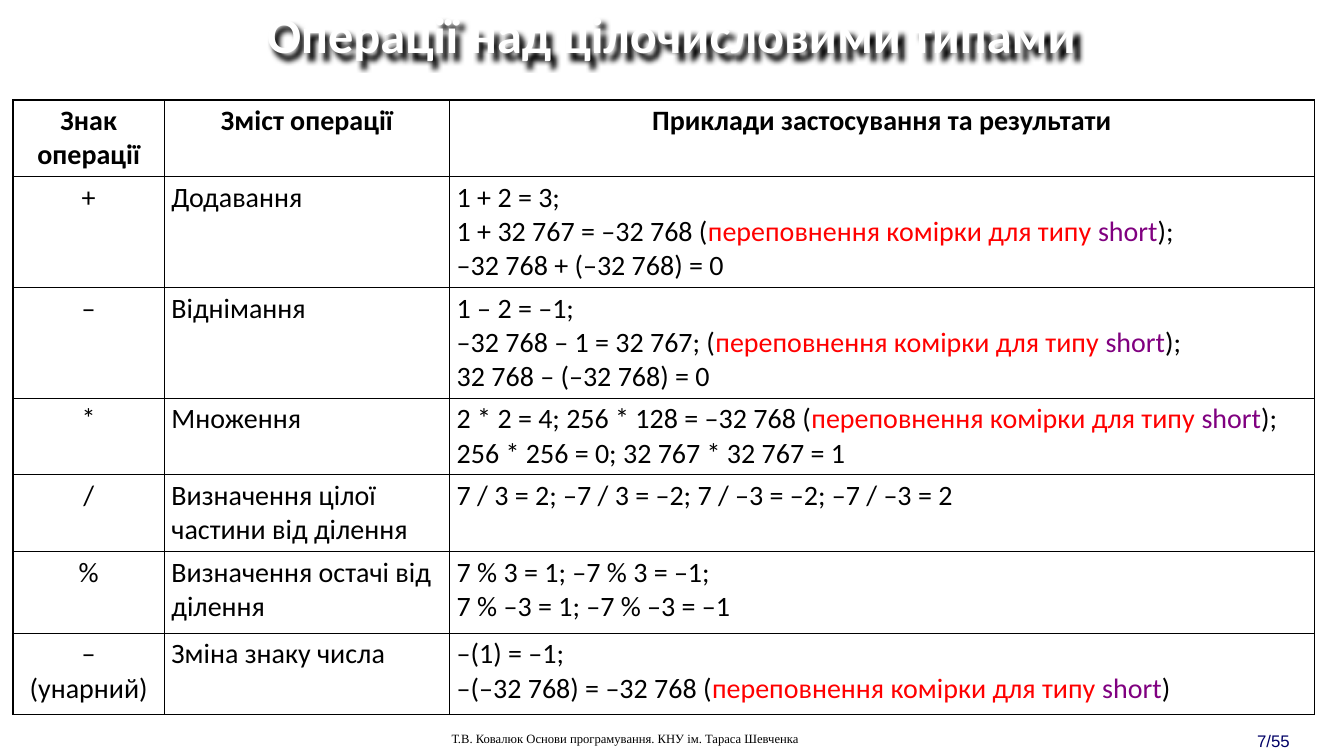
"""Build the slide on operations over integer types."""
from pptx import Presentation
from pptx.dml.color import RGBColor
from pptx.enum.text import MSO_ANCHOR, MSO_AUTO_SIZE, PP_ALIGN
from pptx.oxml import parse_xml
from pptx.oxml.ns import nsdecls
from pptx.util import Cm, Pt

CENTER, LEFT = PP_ALIGN.CENTER, PP_ALIGN.LEFT
MIDDLE, NO_FIT = MSO_ANCHOR.MIDDLE, MSO_AUTO_SIZE.NONE
BLACK = RGBColor(0x00, 0x00, 0x00)
WHITE = RGBColor(0xFF, 0xFF, 0xFF)
RED = RGBColor(0xFF, 0x00, 0x00)
PURPLE = RGBColor(0x80, 0x00, 0x80)
NAVY = RGBColor(0x00, 0x00, 0x66)

COLUMN_WIDTHS = (3.81, 7.19, 21.79)
ROW_HEIGHTS = (1.78, 2.59, 2.59, 1.78, 1.78, 2.06, 2.06)
HEADERS = ("Знак операції", "Зміст операції", "Приклади застосування та результати")
OVERFLOW = (("переповнення комірки для типу ", RED), ("short", PURPLE))


def overflow(before, after):
    """Return the runs of an example that overflows a short."""
    return [(before, BLACK), *OVERFLOW, (after, BLACK)]


def plain(text):
    """Return a paragraph of one black run."""
    return [(text, BLACK)]


OPERATIONS = (
    ("+", "Додавання",
     [overflow("1 + 2 = 3; \n1 + 32 767 = –32 768 (", "); \n–32 768 + (–32 768) = 0")]),
    ("–", "Віднімання",
     [overflow("1 – 2 = –1; \n–32 768 – 1 = 32 767; (", ");\n32 768 – (–32 768) = 0")]),
    ("*", "Множення",
     [overflow("2 * 2 = 4; 256 * 128 = –32 768 (", "); \n256 * 256 = 0; 32 767 * 32 767 = 1")]),
    ("/", "Визначення цілої частини від ділення",
     [plain("7 / 3 = 2; –7 / 3 = –2; 7 / –3 = –2; –7 / –3 = 2")]),
    ("%", "Визначення остачі від ділення",
     [plain("7 % 3 = 1; –7 % 3 = –1;"), plain("7 % –3 = 1; –7 % –3 = –1")]),
    ("– (унарний)", "Зміна знаку числа",
     [plain("–(1) = –1;"), overflow("–(–32 768) = –32 768 (", ")")]),
)


def add_run(p, text, font, size, color, bold=False):
    """Add formatted text to a paragraph, breaking lines at newlines."""
    for i, line in enumerate(text.split("\n")):
        if i:
            p.add_line_break()
        r = p.add_run()
        r.text = line
        r.font.name, r.font.size, r.font.bold = font, Pt(size), bold
        r.font.color.rgb = color


def add_title(s, text):
    """Fill the title placeholder with white, shadowed text."""
    sp = s.shapes.title
    sp.left, sp.top, sp.width, sp.height = Cm(4.23), Cm(0.33), Cm(25.4), Cm(1.2)
    tf = sp.text_frame
    tf.auto_size, tf.vertical_anchor, tf.word_wrap = NO_FIT, MIDDLE, True
    p = tf.paragraphs[0]
    p.alignment, p.line_spacing = CENTER, 0.9
    add_run(p, text, "Calibri", 36, WHITE, True)
    sp.fill.background()
    sp._element.spPr.append(parse_xml(
        f'<a:effectLst {nsdecls("a")}><a:outerShdw blurRad="50800" dist="63500" dir="3000000">'
        '<a:srgbClr val="000000"/></a:outerShdw></a:effectLst>'))


def add_label(s, text, box, font, size, color):
    """Add a one-line text box."""
    tf = s.shapes.add_textbox(*(Cm(v) for v in box)).text_frame
    tf.word_wrap = True
    add_run(tf.paragraphs[0], text, font, size, color)


def format_cell(cell):
    """Give a cell a white fill, narrow margins and black borders."""
    cell.margin_left = cell.margin_right = Cm(0.18)
    cell.margin_top = cell.margin_bottom = Cm(0.1)
    cell.fill.solid()
    cell.fill.fore_color.rgb = WHITE
    tcPr = cell._tc.get_or_add_tcPr()
    for i, side in enumerate("LRTB"):
        tcPr.insert(i, parse_xml(
            f'<a:ln{side} {nsdecls("a")} w="12700"><a:solidFill>'
            f'<a:srgbClr val="{BLACK}"/></a:solidFill></a:ln{side}>'))


def fill_cell(cell, paragraphs, align, bold=False):
    """Write paragraphs of coloured runs into a cell."""
    format_cell(cell)
    tf = cell.text_frame
    for i, runs in enumerate(paragraphs):
        p = tf.add_paragraph() if i else tf.paragraphs[0]
        p.alignment = align
        for text, color in runs:
            add_run(p, text, "Calibri", 20, color, bold)


def add_operations_table(s):
    """Add the table of operations and examples."""
    table = s.shapes.add_table(
        len(ROW_HEIGHTS), len(COLUMN_WIDTHS), Cm(0.33), Cm(2.52),
        Cm(sum(COLUMN_WIDTHS)), Cm(sum(ROW_HEIGHTS))).table
    table.horz_banding = False
    for column, width in zip(table.columns, COLUMN_WIDTHS):
        column.width = Cm(width)
    for row, height in zip(table.rows, ROW_HEIGHTS):
        row.height = Cm(height)
    for j, header in enumerate(HEADERS):
        fill_cell(table.cell(0, j), [plain(header)], CENTER, True)
    for i, (sign, meaning, examples) in enumerate(OPERATIONS, 1):
        fill_cell(table.cell(i, 0), [plain(sign)], CENTER)
        fill_cell(table.cell(i, 1), [plain(meaning)], LEFT)
        fill_cell(table.cell(i, 2), examples, LEFT)


def main():
    """Build and save the presentation."""
    prs = Presentation()
    prs.slide_width, prs.slide_height = Cm(33.87), Cm(19.05)
    s = prs.slides.add_slide(prs.slide_layouts[5])
    add_title(s, "Операції над цілочисловими типами")
    add_operations_table(s)
    add_label(s, "Т.В. Ковалюк Основи програмування. КНУ ім. Тараса Шевченка",
              (11.13, 18.29, 17.07, 0.64), "Times New Roman", 9, BLACK)
    add_label(s, "7/55", (31.43, 18.29, 2.43, 0.76), "Arial", 12, NAVY)
    prs.save("out.pptx")


if __name__ == "__main__":
    main()
